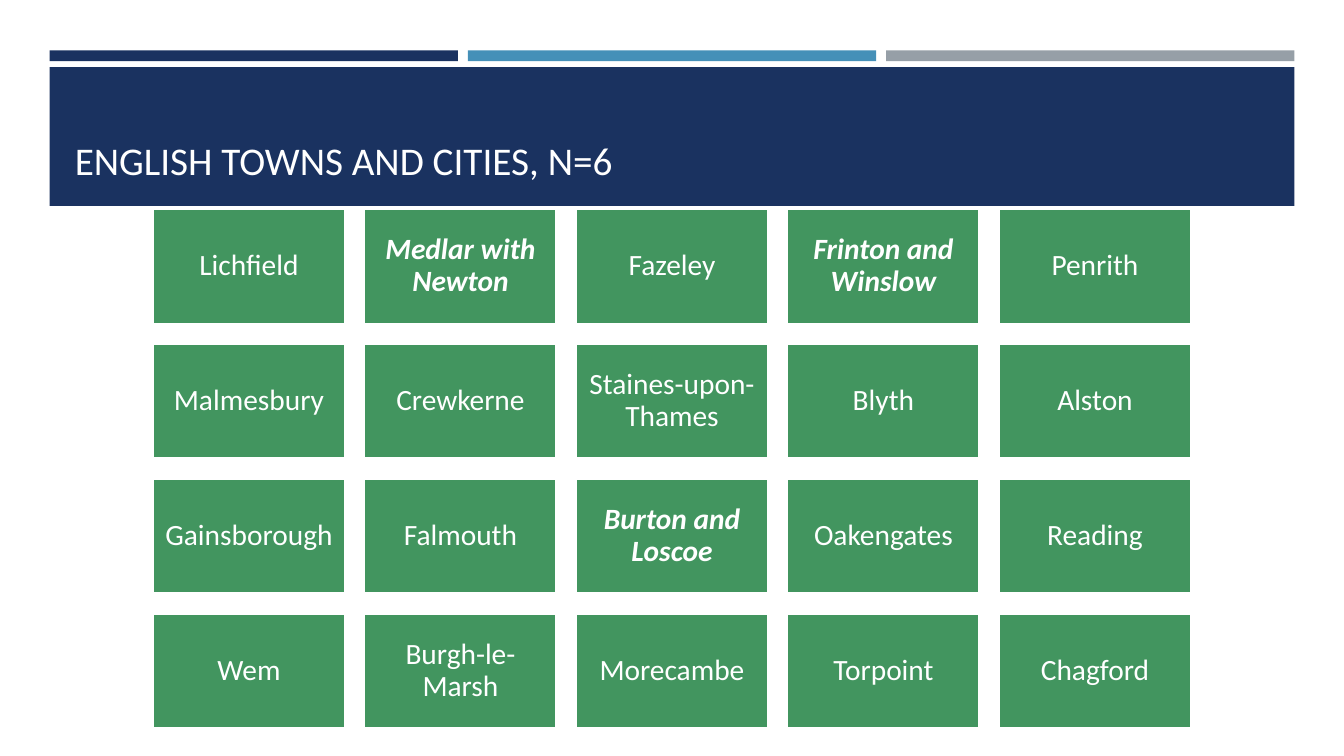
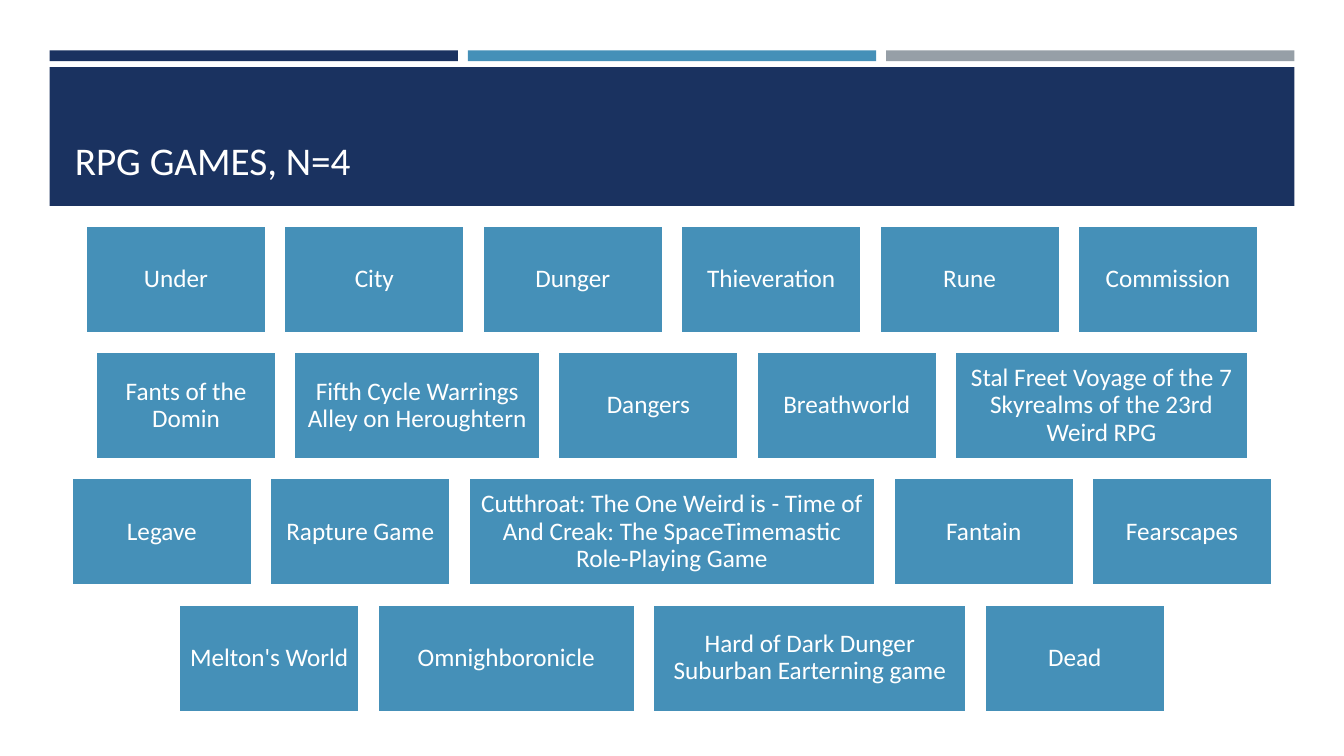
"""Build two slides of generated names laid out as rows of centred tiles."""
from dataclasses import dataclass

from pptx import Presentation
from pptx.dml.color import RGBColor
from pptx.enum.shapes import MSO_SHAPE as Preset
from pptx.enum.text import MSO_ANCHOR as Anchor, MSO_AUTO_SIZE as AutoSize, PP_ALIGN as Align
from pptx.presentation import Presentation as Deck
from pptx.shapes.autoshape import Shape
from pptx.slide import Slide
from pptx.text.text import TextFrame
from pptx.util import Cm, Pt

NAVY = RGBColor(0x1A, 0x32, 0x60)
BLUE = RGBColor(0x45, 0x90, 0xB8)
GREY = RGBColor(0x96, 0x9F, 0xA7)
GREEN = RGBColor(0x42, 0x95, 0x5F)
WHITE = RGBColor(0xFF, 0xFF, 0xFF)

FONT = "Calibri"
SLIDE_WIDTH, SLIDE_HEIGHT = 33.87, 19.05
MARGIN = 1.25
STRIPE_WIDTH, STRIPE_STEP = 10.29, 10.54
TITLE_ONLY = 5


@dataclass(frozen=True)
class Tile:
    """A name, with its own width where the wall's width is too narrow."""

    name: str
    width: float | None = None
    emphasised: bool = False


@dataclass(frozen=True)
class Wall:
    """Rows of tiles that share a colour, a size and gaps, in centimetres."""

    title: str
    color: RGBColor
    top: float
    tile_width: float
    tile_height: float
    column_gap: float
    row_gap: float
    inset: float
    font_size: int
    rows: list[list[Tile]]


TOWNS = Wall(
    "ENGLISH TOWNS AND CITIES, N=6", GREEN, 5.26, 4.85, 2.9, 0.48, 0.5, 0.23, 21,
    [
        [Tile("Lichfield"), Tile("Medlar with Newton", emphasised=True), Tile("Fazeley"),
         Tile("Frinton and Winslow", emphasised=True), Tile("Penrith")],
        [Tile("Malmesbury"), Tile("Crewkerne"), Tile("Staines-upon-Thames"),
         Tile("Blyth"), Tile("Alston")],
        [Tile("Gainsborough"), Tile("Falmouth"), Tile("Burton and Loscoe", emphasised=True),
         Tile("Oakengates"), Tile("Reading")],
        [Tile("Wem"), Tile("Burgh-le-Marsh"), Tile("Morecambe"),
         Tile("Torpoint"), Tile("Chagford")],
    ],
)

GAMES = Wall(
    "RPG GAMES, N=4", BLUE, 5.69, 4.55, 2.71, 0.45, 0.47, 0.18, 18,
    [
        [Tile("Under"), Tile("City"), Tile("Dunger"),
         Tile("Thieveration"), Tile("Rune"), Tile("Commission")],
        [Tile("Fants of the Domin"), Tile("Fifth Cycle Warrings Alley on Heroughtern", 6.2),
         Tile("Dangers"), Tile("Breathworld"),
         Tile("Stal Freet Voyage of the 7 Skyrealms of the 23rd Weird RPG", 7.39)],
        [Tile("Legave"), Tile("Rapture Game"),
         Tile("Cutthroat: The One Weird is - Time of And Creak: "
              "The SpaceTimemastic Role-Playing Game", 10.26),
         Tile("Fantain"), Tile("Fearscapes")],
        [Tile("Melton's World"), Tile("Omnighboronicle", 6.5),
         Tile("Hard of Dark Dunger Suburban Earterning game", 7.9), Tile("Dead")],
    ],
)


def add_block(slide: Slide, left: float, top: float, width: float, height: float,
              color: RGBColor) -> Shape:
    """Add a plain filled rectangle without outline or shadow."""
    block = slide.shapes.add_shape(Preset.RECTANGLE, Cm(left), Cm(top), Cm(width), Cm(height))
    block.shadow.inherit = False
    block.fill.solid()
    block.fill.fore_color.rgb = color
    block.line.fill.background()
    return block


def write(frame: TextFrame, text: str, size: int, align: Align, anchor: Anchor,
          emphasised: bool = False) -> None:
    """Set a single white paragraph in the frame."""
    frame.text = text
    frame.word_wrap = True
    frame.auto_size = AutoSize.NONE
    frame.vertical_anchor = anchor
    paragraph = frame.paragraphs[0]
    paragraph.alignment = align
    paragraph.line_spacing = 0.9
    font = paragraph.runs[0].font
    font.name = FONT
    font.size = Pt(size)
    font.color.rgb = WHITE
    font.bold = font.italic = emphasised


def add_header(slide: Slide, text: str) -> None:
    """Draw the three stripes and the title band, with the title on top."""
    for column, color in enumerate((NAVY, BLUE, GREY)):
        add_block(slide, MARGIN + column * STRIPE_STEP, 1.27, STRIPE_WIDTH, 0.27, color)
    add_block(slide, MARGIN, 1.69, 2 * STRIPE_STEP + STRIPE_WIDTH, 3.5, NAVY)
    title = slide.shapes.title
    title.left, title.top, title.width, title.height = Cm(1.63), Cm(2.03), Cm(30.63), Cm(2.74)
    write(title.text_frame, text, 28, Align.LEFT, Anchor.BOTTOM)
    title.element.getparent().append(title.element)


def add_tile(slide: Slide, wall: Wall, tile: Tile, left: float, top: float, width: float) -> None:
    """Draw one white-edged tile with its name centred."""
    block = add_block(slide, left, top, width, wall.tile_height, wall.color)
    block.line.color.rgb = WHITE
    block.line.width = Pt(1.75)
    frame = block.text_frame
    frame.margin_left = frame.margin_right = Cm(wall.inset)
    frame.margin_top = frame.margin_bottom = Cm(wall.inset)
    write(frame, tile.name, wall.font_size, Align.CENTER, Anchor.MIDDLE, tile.emphasised)


def add_wall(deck: Deck, wall: Wall) -> None:
    """Add a slide whose rows of tiles are each centred across it."""
    slide = deck.slides.add_slide(deck.slide_layouts[TITLE_ONLY])
    add_header(slide, wall.title)
    for index, row in enumerate(wall.rows):
        top = wall.top + index * (wall.tile_height + wall.row_gap)
        widths = [tile.width or wall.tile_width for tile in row]
        left = (SLIDE_WIDTH - sum(widths) - wall.column_gap * (len(row) - 1)) / 2
        for tile, width in zip(row, widths):
            add_tile(slide, wall, tile, left, top, width)
            left += width + wall.column_gap


def main() -> None:
    """Build and save the presentation."""
    deck = Presentation()
    deck.slide_width, deck.slide_height = Cm(SLIDE_WIDTH), Cm(SLIDE_HEIGHT)
    for wall in (TOWNS, GAMES):
        add_wall(deck, wall)
    deck.save("out.pptx")


if __name__ == "__main__":
    main()
